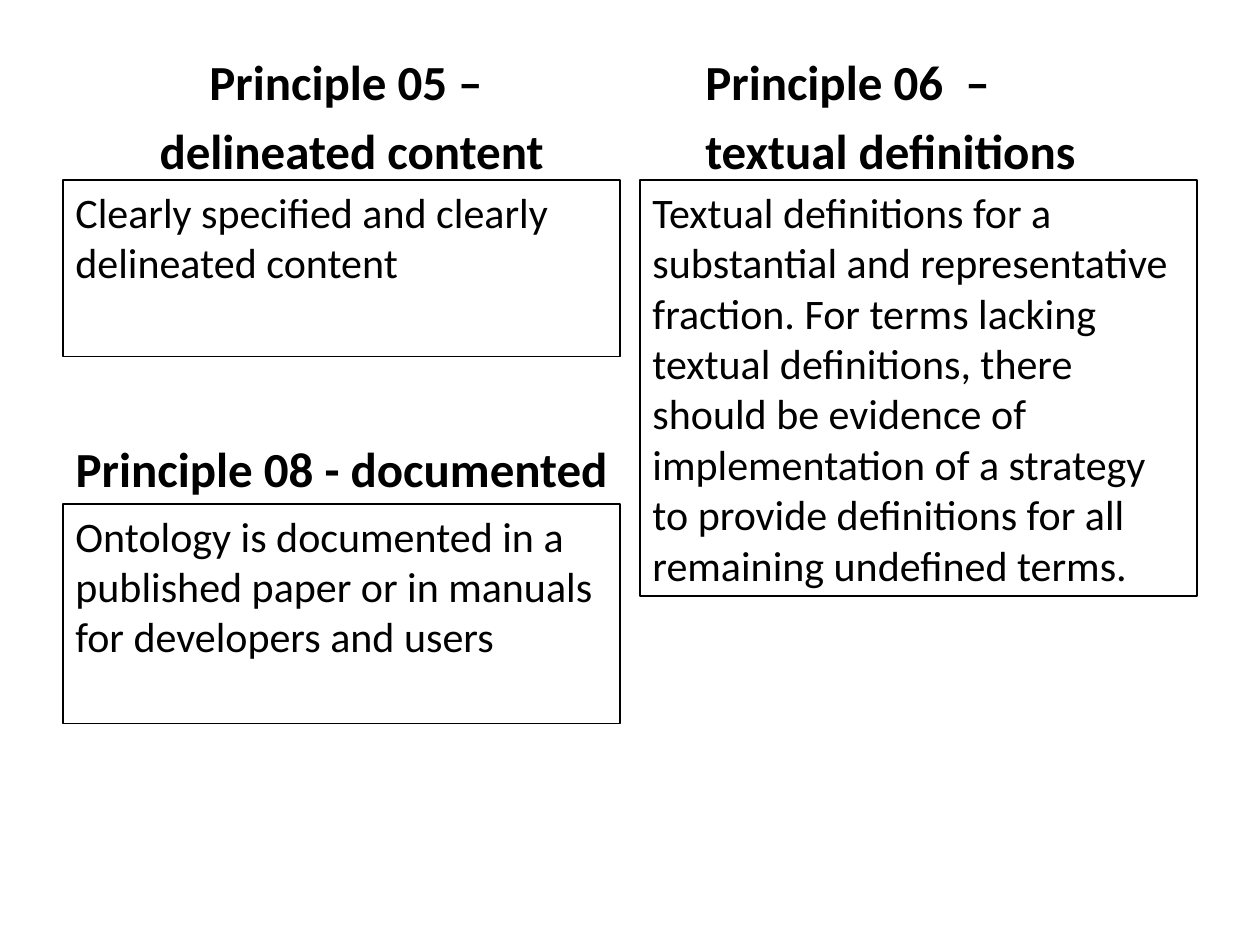
from pptx import Presentation
from pptx.dml.color import RGBColor
from pptx.enum.shapes import MSO_SHAPE
from pptx.enum.text import MSO_ANCHOR, PP_ALIGN
from pptx.util import Inches, Pt

BLACK = RGBColor(0, 0, 0)
RECTANGLE = MSO_SHAPE.RECTANGLE
TOP, BOTTOM = MSO_ANCHOR.TOP, MSO_ANCHOR.BOTTOM
LEFT, CENTER = PP_ALIGN.LEFT, PP_ALIGN.CENTER

HEADING_FONT = {"name": "Calibri", "size": Pt(28), "bold": True}
BODY_FONT = {"name": "Calibri", "size": Pt(24), "bold": False}

COLUMN_WIDTH = 4.42
LEFT_COLUMN, RIGHT_COLUMN = 0.5, 5.08
FIRST_ROW, SECOND_ROW = 1.43, 4

# Heading box, its lines, alignment and bottom inset; body box and its text
PRINCIPLES = [
    ((0.58, 0.82, COLUMN_WIDTH, 1.1),
     ["Principle 05 – ", "delineated content"], CENTER, 0.5,
     (LEFT_COLUMN, FIRST_ROW, COLUMN_WIDTH, 1.4),
     "Clearly specified and clearly delineated content"),
    ((5.5, 0.92, COLUMN_WIDTH, 1),
     ["Principle 06  –", "textual definitions"], LEFT, 0.5,
     (RIGHT_COLUMN, FIRST_ROW, COLUMN_WIDTH, 3.3),
     "Textual definitions for a substantial and representative fraction. "
     "For terms lacking textual definitions, there should be evidence of "
     "implementation of a strategy to provide definitions for all "
     "remaining undefined terms."),
    ((0.42, 3.3, 4.67, 0.7),
     ["Principle 08 - documented "], CENTER, 0.05,
     (LEFT_COLUMN, SECOND_ROW, COLUMN_WIDTH, 1.74),
     "Ontology is documented in a published paper or in manuals "
     "for developers and users"),
]


def write_lines(frame, lines, font, align, anchor):
    frame.word_wrap = True
    frame.vertical_anchor = anchor
    for index, line in enumerate(lines):
        para = frame.add_paragraph() if index else frame.paragraphs[0]
        para.alignment = align
        if index:
            para.space_before = Pt(5.6)
        span = para.add_run()
        span.text = line
        span.font.color.rgb = BLACK
        for name, value in font.items():
            setattr(span.font, name, value)


def add_heading(page, box, lines, align, bottom_inset):
    heading = page.shapes.add_textbox(*map(Inches, box))
    heading.text_frame.margin_bottom = Inches(bottom_inset)
    write_lines(heading.text_frame, lines, HEADING_FONT, align, BOTTOM)


def add_body(page, box, text):
    body = page.shapes.add_shape(RECTANGLE, *map(Inches, box))
    body.shadow.inherit = False
    body.fill.background()
    body.line.color.rgb = BLACK
    body.line.width = Pt(0.75)
    write_lines(body.text_frame, [text], BODY_FONT, LEFT, TOP)


def main():
    deck = Presentation()
    deck.slide_width, deck.slide_height = Inches(10), Inches(7.5)
    page = deck.slides.add_slide(deck.slide_layouts[6])
    for heading_box, lines, align, inset, body_box, text in PRINCIPLES:
        add_heading(page, heading_box, lines, align, inset)
        add_body(page, body_box, text)
    deck.save("out.pptx")


if __name__ == "__main__":
    main()
